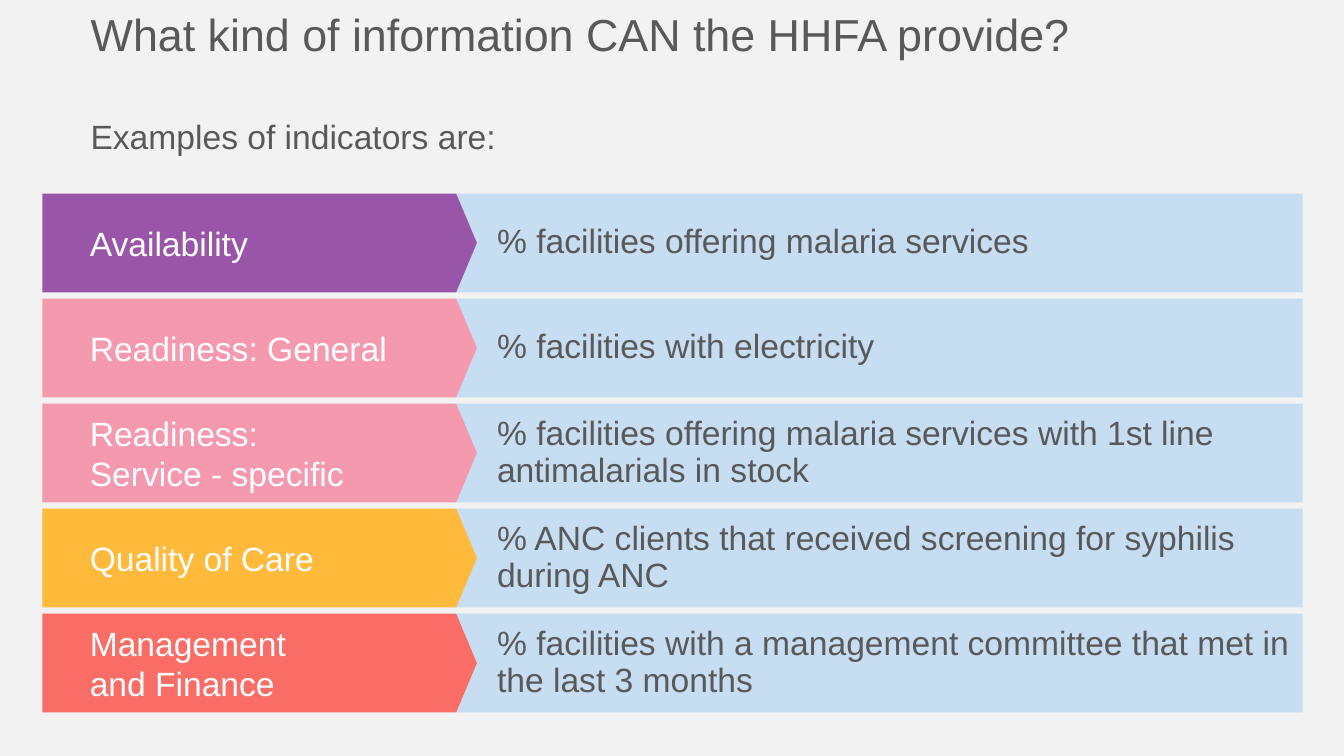
from dataclasses import dataclass

from pptx import Presentation
from pptx import util as u
from pptx.dml.color import RGBColor
from pptx.enum import shapes, text


@dataclass(frozen=True)
class Theme:
    font: str = "Arial"
    title_size: int = 32
    body_size: int = 24
    backdrop: str = "F2F2F2"
    ink: str = "595959"
    white: str = "FFFFFF"
    band: str = "C7DDF1"
    purple: str = "9955A7"
    pink: str = "F59AAE"
    amber: str = "FFBA3C"
    coral: str = "FA6C66"


theme = Theme()


def write(box, wording, size=theme.body_size, color=theme.ink, spacing=1.0,
          anchor=text.MSO_ANCHOR.MIDDLE, indent=0.1):
    frame = box.text_frame
    frame.text = wording
    frame.word_wrap = True
    frame.auto_size = text.MSO_AUTO_SIZE.NONE
    frame.vertical_anchor = anchor
    frame.margin_left = u.Inches(indent)
    frame.margin_right = u.Inches(0.1)
    frame.margin_top = frame.margin_bottom = u.Inches(0.05)
    for para in frame.paragraphs:
        para.alignment = text.PP_ALIGN.LEFT
        para.line_spacing = spacing
        for span in para.runs:
            span.font.name = theme.font
            span.font.size = u.Pt(size)
            span.font.color.rgb = RGBColor.from_string(color)


def add_block(page, kind, place, fill):
    block = page.shapes.add_shape(kind, *map(u.Inches, place))
    block.shadow.inherit = False
    block.fill.solid()
    block.fill.fore_color.rgb = RGBColor.from_string(fill)
    block.line.fill.background()
    return block


deck = Presentation()
deck.slide_width = u.Inches(13.33)
deck.slide_height = u.Inches(7.5)
page = deck.slides.add_slide(deck.slide_layouts[5])
page.background.fill.solid()
page.background.fill.fore_color.rgb = RGBColor.from_string(theme.backdrop)

heading_left = 0.8
title = page.shapes.title
title.left, title.top = u.Inches(heading_left), u.Inches(0.02)
title.width, title.height = u.Inches(11.44), u.Inches(0.64)
write(title, "What kind of information CAN the HHFA provide?",
      size=theme.title_size, anchor=text.MSO_ANCHOR.TOP)

intro = page.shapes.add_textbox(*map(u.Inches, (heading_left, 1.15, 5.43, 0.47)))
write(intro, "Examples of indicators are:", spacing=0.9, anchor=text.MSO_ANCHOR.TOP)

indicators = [
    ("Availability", theme.purple, "% facilities offering malaria services"),
    ("Readiness: General", theme.pink, "% facilities with electricity"),
    ("Readiness:\nService - specific", theme.pink,
     "% facilities offering malaria services with 1st line antimalarials in stock"),
    ("Quality of Care", theme.amber,
     "% ANC clients that received screening for syphilis during ANC"),
    ("Management\nand Finance", theme.coral,
     "% facilities with a management committee that met in the last 3 months"),
]

first_row, row_pitch, row_height = 1.92, 1.042, 0.98
label_left, label_width = 0.42, 4.31
band_left, band_width = 4.5, 8.42

for row, (label, color, example) in enumerate(indicators):
    top = first_row + row * row_pitch
    band = add_block(page, shapes.MSO_SHAPE.RECTANGLE,
                     (band_left, top, band_width, row_height), theme.band)
    write(band, example, spacing=0.9, indent=0.43)

    arrow = add_block(page, shapes.MSO_SHAPE.PENTAGON,
                      (label_left, top, label_width, row_height), color)
    arrow.adjustments[0] = 0.21
    write(arrow, label, color=theme.white, indent=0.47)

deck.save("out.pptx")
